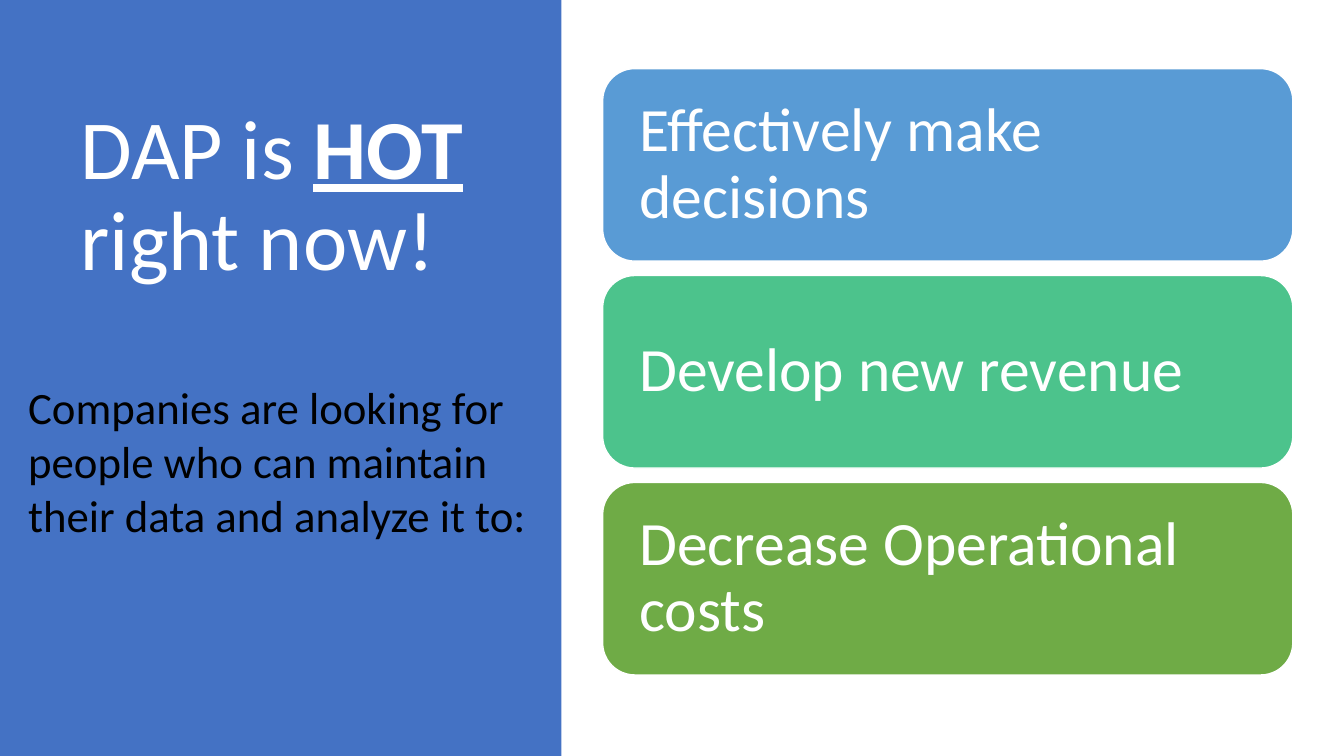
from dataclasses import dataclass

import pptx
import pptx.dml.color
import pptx.enum.shapes
import pptx.enum.text
import pptx.util

Pt = pptx.util.Pt
RGBColor = pptx.dml.color.RGBColor
Shape = pptx.enum.shapes.MSO_SHAPE
Anchor = pptx.enum.text.MSO_ANCHOR
AutoSize = pptx.enum.text.MSO_AUTO_SIZE
Align = pptx.enum.text.PP_ALIGN

WHITE = RGBColor(0xFF, 0xFF, 0xFF)
BLACK = RGBColor(0, 0, 0)
PANEL_BLUE = RGBColor(0x44, 0x72, 0xC4)
SKY = RGBColor(0x59, 0x9B, 0xD5)
MINT = RGBColor(0x4C, 0xC3, 0x8C)
GREEN = RGBColor(0x6F, 0xAB, 0x46)

CARD_LEFT, CARD_TOP = 430.5, 49
CARD_WIDTH, CARD_HEIGHT = 493, 137.5
CARD_PITCH = 147.8


@dataclass(frozen=True)
class Card:
    text: str
    fill: RGBColor


CARDS = [
    Card("Effectively make decisions", SKY),
    Card("Develop new revenue", MINT),
    Card("Decrease Operational costs", GREEN),
]


def place(sp, left: float, top: float, width: float, height: float) -> None:
    sp.left, sp.top = Pt(left), Pt(top)
    sp.width, sp.height = Pt(width), Pt(height)


def set_text(sp, *runs: str, size: float, color: RGBColor = WHITE,
             emphasis: str = "", anchor=Anchor.MIDDLE, spacing: float = 0.9,
             inset_x: float = 7.2, inset_y: float = 3.6,
             auto_size=AutoSize.NONE) -> None:
    """Fill a shape with one paragraph; the run equal to emphasis is bold and underlined."""
    tf = sp.text_frame
    tf.word_wrap = True
    tf.auto_size = auto_size
    tf.vertical_anchor = anchor
    tf.margin_left = tf.margin_right = Pt(inset_x)
    tf.margin_top = tf.margin_bottom = Pt(inset_y)
    p = tf.paragraphs[0]
    p.alignment = Align.LEFT
    p.line_spacing = spacing
    for text in runs:
        r = p.add_run()
        r.text = text
        r.font.name = "Calibri"
        r.font.size = Pt(size)
        r.font.color.rgb = color
        r.font.bold = r.font.underline = text == emphasis


def add_block(s, kind, fill: RGBColor, left: float, top: float,
              width: float, height: float):
    sp = s.shapes.add_shape(kind, Pt(left), Pt(top), Pt(width), Pt(height))
    sp.shadow.inherit = False
    sp.fill.solid()
    sp.fill.fore_color.rgb = fill
    sp.line.fill.background()
    return sp


def add_card(s, card: Card, top: float) -> None:
    sp = add_block(s, Shape.ROUNDED_RECTANGLE, card.fill,
                   CARD_LEFT, top, CARD_WIDTH, CARD_HEIGHT)
    sp.line.color.rgb = WHITE
    sp.line.width = Pt(1)
    set_text(sp, card.text, size=44, inset_x=19.5, inset_y=19.5)


def main() -> None:
    prs = pptx.Presentation()
    prs.slide_width, prs.slide_height = Pt(960), Pt(540)
    s = prs.slides.add_slide(prs.slide_layouts[5])

    panel = add_block(s, Shape.RECTANGLE, PANEL_BLUE, 0, 0, 401, 540)
    title = s.shapes.title
    panel.element.addnext(title.element)
    place(title, 50.4, 13, 299.5, 257)
    set_text(title, "DAP is ", "HOT", " right now!", size=60, emphasis="HOT")

    for i, card in enumerate(CARDS):
        add_card(s, card, CARD_TOP + i * CARD_PITCH)

    intro = s.shapes.add_textbox(Pt(13), Pt(268), Pt(374.5), Pt(124))
    set_text(intro, "Companies are looking for people who can maintain "
             "their data and analyze it to:", size=32, color=BLACK,
             anchor=Anchor.TOP, spacing=1.0,
             auto_size=AutoSize.SHAPE_TO_FIT_TEXT)

    prs.save("out.pptx")


if __name__ == "__main__":
    main()
